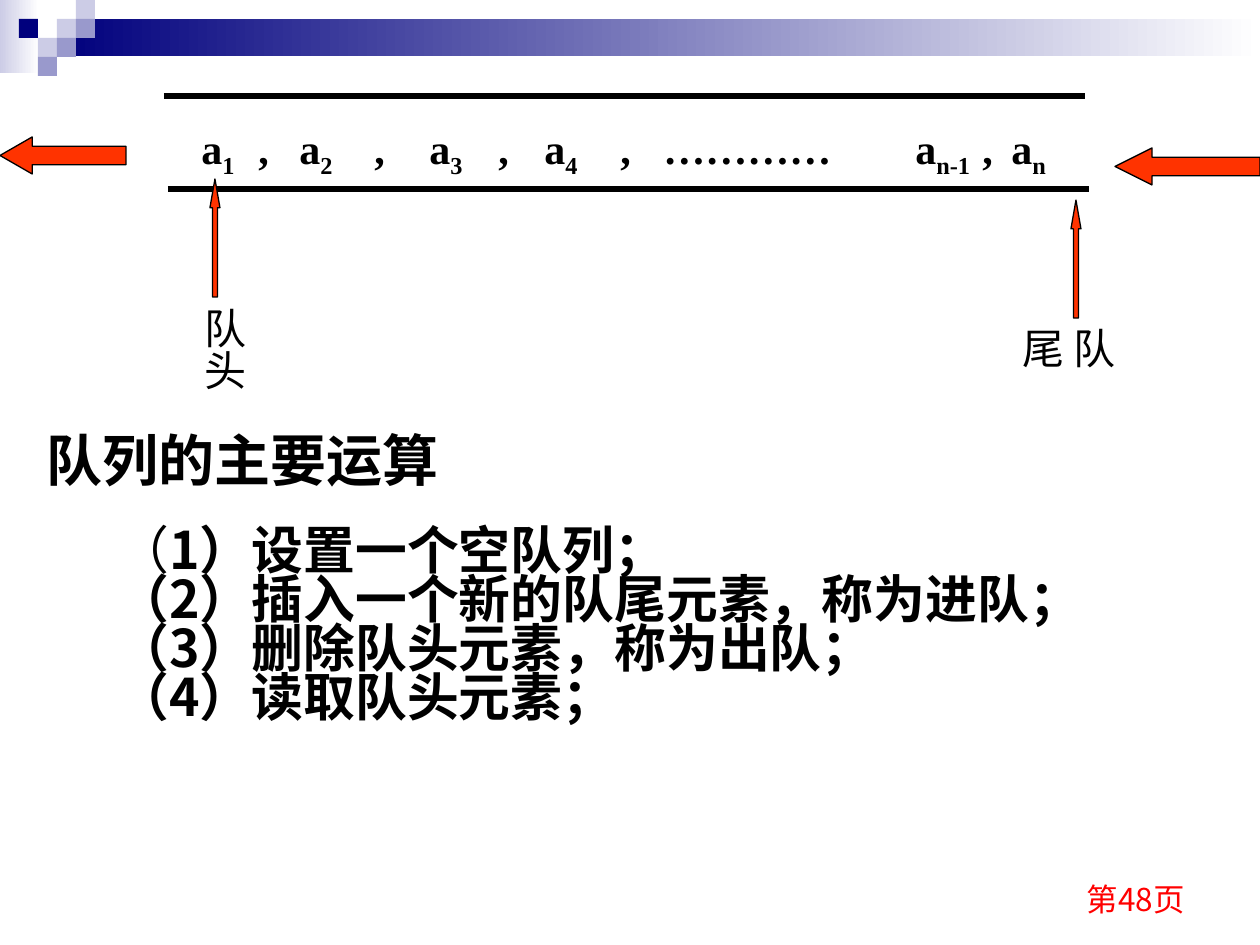
from pptx import Presentation
from pptx.dml.color import RGBColor
from pptx.enum.shapes import MSO_CONNECTOR, MSO_SHAPE
from pptx.enum.text import MSO_ANCHOR, MSO_AUTO_SIZE, PP_ALIGN
from pptx.oxml.ns import qn
from pptx.util import Pt
from lxml import etree

RECT, LEFT_ARROW, UP_ARROW = MSO_SHAPE.RECTANGLE, MSO_SHAPE.LEFT_ARROW, MSO_SHAPE.UP_ARROW
STRAIGHT = MSO_CONNECTOR.STRAIGHT
TOP, MIDDLE, BOTTOM = MSO_ANCHOR.TOP, MSO_ANCHOR.MIDDLE, MSO_ANCHOR.BOTTOM
LEFT, RIGHT = PP_ALIGN.LEFT, PP_ALIGN.RIGHT
NO_FIT = MSO_AUTO_SIZE.NONE

NAVY = RGBColor(0x00, 0x00, 0x7D)
MID = RGBColor(0x99, 0x99, 0xCC)
PALE = RGBColor(0xCC, 0xCC, 0xE6)
WHITE = RGBColor(0xFF, 0xFF, 0xFF)
BLACK = RGBColor(0x00, 0x00, 0x00)
RED = RGBColor(0xFF, 0x00, 0x00)
ORANGE = RGBColor(0xFF, 0x33, 0x00)
CJK, SERIF, SANS = "Noto Sans CJK SC", "Times New Roman", "Arial"


def px(n):
    return round(n * 914400 / 126)


def add_run(p, text, size, font, color=BLACK, bold=False, sub=False):
    r = p.add_run()
    r.text = text
    f = r.font
    f.size, f.name, f.bold = Pt(size), font, bold
    f.color.rgb = color
    rpr = r._r.get_or_add_rPr()
    etree.SubElement(rpr, qn("a:ea")).set("typeface", CJK)
    if sub:
        rpr.set("baseline", "-25000")


def add_text(s, x, y, w, h, anchor=TOP):
    tf = s.shapes.add_textbox(px(x), px(y), px(w), px(h)).text_frame
    tf.word_wrap, tf.auto_size, tf.vertical_anchor = True, NO_FIT, anchor
    return tf


def add_block(s, kind, x, y, w, h, *colors):
    sp = s.shapes.add_shape(kind, px(x), px(y), px(w), px(h))
    sp.shadow.inherit = False
    sp.line.fill.background()
    if len(colors) == 1:
        sp.fill.solid()
        sp.fill.fore_color.rgb = colors[0]
    else:
        sp.fill.gradient()
        sp.fill.gradient_angle = 0
        for stop, color, pos in zip(sp.fill.gradient_stops, colors, (0, 1)):
            stop.color.rgb, stop.position = color, pos
    return sp


def add_arrow(s, kind, x, y, w, h, head):
    sp = add_block(s, kind, x, y, w, h, ORANGE)
    sp.line.color.rgb, sp.line.width = BLACK, Pt(0.75)
    sp.adjustments[0], sp.adjustments[1] = 0.5, head


def add_rule(s, x, y, w):
    c = s.shapes.add_connector(STRAIGHT, px(x), px(y), px(x + w), px(y))
    c.line.color.rgb, c.line.width = BLACK, Pt(3)
    etree.SubElement(c._element.spPr, qn("a:effectLst"))


def header(s, x, y):
    add_block(s, RECT, x, y, 39, 73, PALE, WHITE)
    add_block(s, RECT, x + 57, y + 19, 1203, 37, NAVY, WHITE)
    # Checkered squares: column, row, colour
    for col, row, color in ((3, 1, PALE), (4, 0, PALE), (4, 1, MID), (2, 2, PALE),
                            (1, 1, NAVY), (3, 2, MID), (2, 3, MID)):
        add_block(s, RECT, x + col * 19, y + row * 19, 19, 19, color)


def vertical_label(s, x, y, h, text):
    tf = add_text(s, x, y, 76, h)
    tf._txBody.bodyPr.set("vert", "eaVert")
    tf.margin_left = tf.margin_right = px(6)
    tf.margin_top = tf.margin_bottom = px(13)
    add_run(tf.paragraphs[0], text, 24, SERIF)


def queue(s, x, y):
    # Rails of the queue
    add_rule(s, x + 164, y, 921)
    add_rule(s, x + 168, y + 93, 921)

    # Elements, each at its own tab stop
    p = add_text(s, x + 147, y + 20, 987, 71).paragraphs[0]
    items = ((42, "a", "1"), (99, ",", ""), (140, "a", "2"), (215, ",", ""),
             (270, "a", "3"), (339, ",", ""), (385, "a", "4"), (461, ",", ""),
             (504, "…………", ""), (756, "a", "n-1"), (823, ",", ""), (852, "a", "n"))
    tabs = etree.SubElement(p._p.get_or_add_pPr(), qn("a:tabLst"))
    for stop, text, index in items:
        etree.SubElement(tabs, qn("a:tab"), pos=str(px(stop)), algn="l")
        add_run(p, "\t" + text, 24, SERIF, bold=True)
        if index:
            add_run(p, index, 24, SERIF, bold=True, sub=True)

    # Leaving, entering, front and rear arrows
    add_arrow(s, LEFT_ARROW, x, y + 41, 126, 37, 0.87)
    add_arrow(s, LEFT_ARROW, x + 1115, y + 52, 145, 37, 1)
    add_arrow(s, UP_ARROW, x + 210, y + 83, 10, 118, 2.87)
    add_arrow(s, UP_ARROW, x + 1071, y + 104, 10, 118, 2.88)
    vertical_label(s, x + 179, y + 199, 110, "队头")
    vertical_label(s, x + 1048, y + 219, 105, "队尾")


def operations(s, x, y):
    # Title
    title = s.shapes.title
    title.left, title.top, title.width, title.height = px(x), px(y), px(496), px(73)
    tf = title.text_frame
    tf.word_wrap, tf.auto_size, tf.vertical_anchor = True, NO_FIT, MIDDLE
    p = tf.paragraphs[0]
    p.alignment = LEFT
    add_run(p, "队列的主要运算", 32, SANS, bold=True)

    # Numbered list
    tf = add_text(s, x + 71, y + 109, 1071, 231)
    tf.margin_top = px(3)
    lines = ("1）设置一个空队列；", "2）插入一个新的队尾元素，称为进队；",
             "3）删除队头元素，称为出队；", "4）读取队头元素；")
    for i, text in enumerate(lines):
        p = tf.add_paragraph() if i else tf.paragraphs[0]
        p.line_spacing = 0.7
        if i:
            p.space_before = Pt(3)
        ppr = p._p.get_or_add_pPr()
        ppr.set("marL", str(px(48)))
        ppr.set("indent", str(px(-48)))
        add_run(p, "（", 29.6, CJK, bold=i > 0)
        add_run(p, text, 29.6, CJK, bold=True)


def page_number(s, x, y):
    p = add_text(s, x, y, 294, 63, BOTTOM).paragraphs[0]
    p.alignment = RIGHT
    add_run(p, "第48页", 18, CJK, RED)


def main():
    prs = Presentation()
    prs.slide_width, prs.slide_height = px(1260), px(945)
    s = prs.slides.add_slide(prs.slide_layouts[5])
    header(s, 0, 0)
    queue(s, 0, 96)
    operations(s, 34, 423)
    page_number(s, 903, 861)
    prs.save("out.pptx")


if __name__ == "__main__":
    main()
